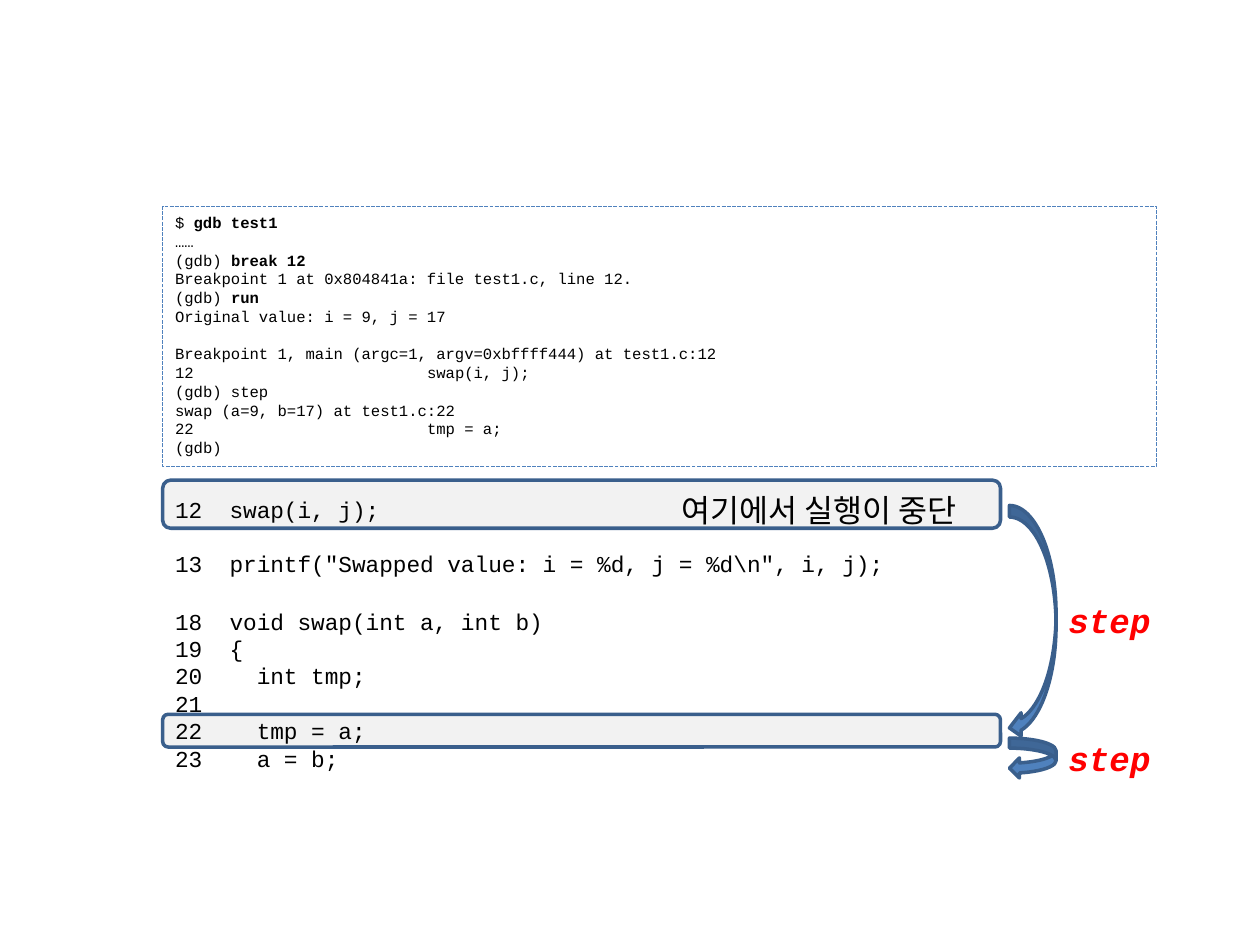
"""Build a slide that shows how the gdb step command walks through a swap program."""

from dataclasses import dataclass

from lxml.etree import SubElement
from pptx import Presentation
from pptx.dml.color import RGBColor
from pptx.enum.dml import MSO_LINE
from pptx.enum.shapes import MSO_SHAPE
from pptx.enum.text import MSO_ANCHOR, PP_ALIGN
from pptx.oxml.ns import qn
from pptx.shapes.autoshape import Shape
from pptx.slide import Slide
from pptx.util import Cm, Pt

CODE_FONT = "Courier New"
KOREAN_FONT = "Noto Sans CJK KR"
LEFT = 3.28
CODE_WIDTH = 20.04
ARROW_LEFT = 20.35
LABEL_LEFT = 21.29
TAB_STOP = 2.54


@dataclass(frozen=True)
class Box:
    left: float
    top: float
    width: float
    height: float


@dataclass(frozen=True)
class Line:
    text: str
    command: str = ""
    blank_before: bool = False


@dataclass(frozen=True)
class TextStyle:
    size: float
    color: str = "000000"
    font: str = CODE_FONT
    emphasis: bool = False
    pitch: float = 1.205


@dataclass(frozen=True)
class TextBlock:
    box: Box
    style: TextStyle
    lines: tuple[Line, ...]


CODE = TextStyle(13)
TERMINAL = TextStyle(8.9)
STEP = TextStyle(19.5, "FF0000", emphasis=True)
KOREAN = TextStyle(18, font=KOREAN_FONT, pitch=1.35)

SESSION = TextBlock(Box(LEFT, 4.17, CODE_WIDTH, 5.23), TERMINAL, (
    Line("$ ", "gdb test1"),
    Line("……"),
    Line("(gdb) ", "break 12"),
    Line("Breakpoint 1 at 0x804841a: file test1.c, line 12."),
    Line("(gdb) ", "run"),
    Line("Original value: i = 9, j = 17"),
    Line("Breakpoint 1, main (argc=1, argv=0xbffff444) at test1.c:12", blank_before=True),
    Line("12\t\tswap(i, j);"),
    Line("(gdb) step"),
    Line("swap (a=9, b=17) at test1.c:22"),
    Line("22\t\ttmp = a;"),
    Line("(gdb)"),
))
CALLER = TextBlock(Box(LEFT, 9.86, CODE_WIDTH, 1.93), CODE, (
    Line("12  swap(i, j);"),
    Line('13  printf("Swapped value: i = %d, j = %d\\n", i, j);', blank_before=True),
))
SWAP_FUNCTION = TextBlock(Box(LEFT, 12.12, CODE_WIDTH, 3.58), CODE, (
    Line("18  void swap(int a, int b)"),
    Line("19  {"),
    Line("20    int tmp;"),
    Line("21"),
    Line("22    tmp = a;"),
    Line("23    a = b;"),
))
STOP_NOTE = TextBlock(Box(13.49, 9.68, 7.06, 1.02), KOREAN, (Line("여기에서 실행이 중단"),))
STEP_LABELS = tuple(
    TextBlock(Box(LABEL_LEFT, top, 2.41, 1.09), STEP, (Line("step"),)) for top in (11.96, 14.73)
)
HIGHLIGHTS = (Box(LEFT, 14.4, 16.89, 0.66), Box(LEFT, 9.68, 16.89, 0.97))
ARROWS = (Box(ARROW_LEFT, 10.19, 0.94, 4.72), Box(ARROW_LEFT, 14.88, 0.94, 0.81))


def color(value: str) -> RGBColor:
    """Turn a hex string into a colour."""
    return RGBColor.from_string(value)


def place(box: Box) -> tuple[Cm, Cm, Cm, Cm]:
    """Return the position and size of a box as lengths."""
    return Cm(box.left), Cm(box.top), Cm(box.width), Cm(box.height)


def add_filled_shape(slide: Slide, kind: MSO_SHAPE, box: Box, fill: str) -> None:
    """Draw a filled shape with the dark blue outline."""
    shape = slide.shapes.add_shape(kind, *place(box))
    shape.shadow.inherit = False
    shape.fill.solid()
    shape.fill.fore_color.rgb = color(fill)
    shape.line.color.rgb = color("3A5F8C")
    shape.line.width = Pt(2)


def add_run(paragraph, text: str, style: TextStyle, bold: bool) -> None:
    """Add one run in the given style."""
    run = paragraph.add_run()
    run.text = text
    run.font.name = style.font
    run.font.size = Pt(style.size)
    run.font.bold = bold
    run.font.italic = style.emphasis
    run.font.color.rgb = color(style.color)
    SubElement(run.font._element, qn("a:ea"), typeface=style.font)


def write_lines(shape: Shape, block: TextBlock) -> None:
    """Write the lines of a block into a shape."""
    frame = shape.text_frame
    frame.word_wrap = True
    frame.vertical_anchor = MSO_ANCHOR.TOP
    style = block.style
    pitch = Pt(style.size * style.pitch)
    for index, line in enumerate(block.lines):
        paragraph = frame.add_paragraph() if index else frame.paragraphs[0]
        paragraph.alignment = PP_ALIGN.LEFT
        paragraph.line_spacing = pitch
        paragraph.space_before = pitch if line.blank_before else Pt(0)
        if "\t" in line.text:
            tabs = SubElement(paragraph._p.get_or_add_pPr(), qn("a:tabLst"))
            for count in (1, 2):
                SubElement(tabs, qn("a:tab"), pos=str(Cm(TAB_STOP * count)), algn="l")
        add_run(paragraph, line.text, style, style.emphasis)
        if line.command:
            add_run(paragraph, line.command, style, True)


def add_text(slide: Slide, block: TextBlock) -> None:
    """Add a plain text box."""
    write_lines(slide.shapes.add_textbox(*place(block.box)), block)


def add_terminal(slide: Slide, block: TextBlock) -> None:
    """Add the dashed frame with the debugger session."""
    shape = slide.shapes.add_shape(MSO_SHAPE.RECTANGLE, *place(block.box))
    shape.shadow.inherit = False
    shape.fill.background()
    shape.line.color.rgb = color("4F81BD")
    shape.line.width = Pt(0.75)
    shape.line.dash_style = MSO_LINE.SQUARE_DOT
    write_lines(shape, block)


def main() -> None:
    """Build and save the slide."""
    presentation = Presentation()
    presentation.slide_width, presentation.slide_height = Cm(25.4), Cm(19.05)
    slide = presentation.slides.add_slide(presentation.slide_layouts[6])
    for box in HIGHLIGHTS:
        add_filled_shape(slide, MSO_SHAPE.ROUNDED_RECTANGLE, box, "F2F2F2")
    add_terminal(slide, SESSION)
    for box in ARROWS:
        add_filled_shape(slide, MSO_SHAPE.CURVED_LEFT_ARROW, box, "4F81BD")
    for block in (CALLER, STOP_NOTE, SWAP_FUNCTION, *STEP_LABELS):
        add_text(slide, block)
    presentation.save("out.pptx")


if __name__ == "__main__":
    main()
